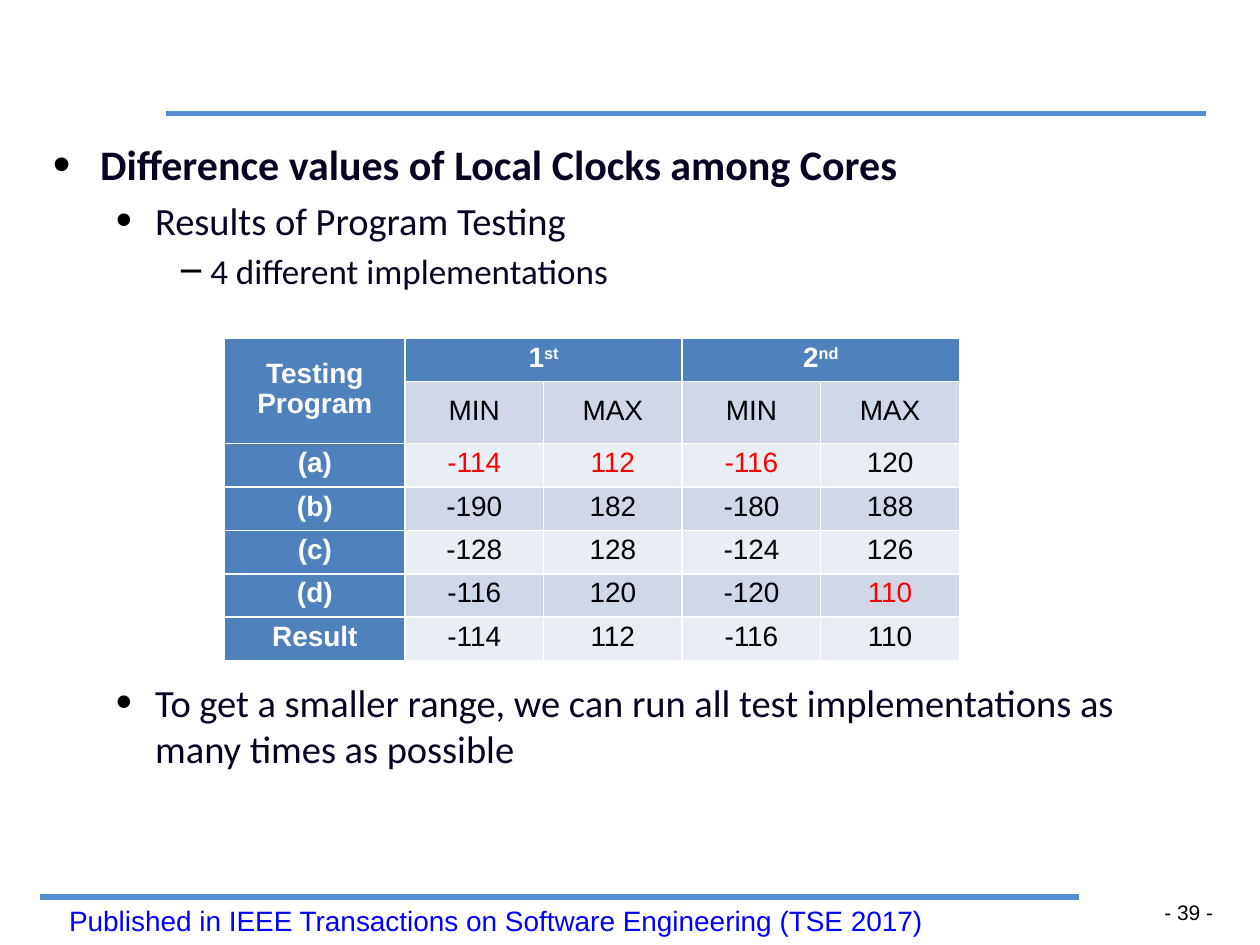
from lxml.etree import SubElement
from pptx import Presentation
from pptx.dml.color import RGBColor
from pptx.enum.shapes import MSO_CONNECTOR
from pptx.enum.text import MSO_ANCHOR, MSO_AUTO_SIZE, PP_ALIGN
from pptx.oxml.ns import qn
from pptx.util import Pt

BLACK = RGBColor(0, 0, 0)
WHITE = RGBColor(255, 255, 255)
RED = RGBColor(255, 0, 0)
LINK = RGBColor(0, 0, 255)
INK = RGBColor(0x05, 0x05, 0x23)
RULE = RGBColor(0x55, 0x8E, 0xD5)
HEAD = RGBColor(0x4F, 0x81, 0xBD)
DARK = RGBColor(0xD0, 0xD8, 0xE8)
PALE = RGBColor(0xE9, 0xED, 0xF4)


def style(font, name, size, color, bold=False):
    font.name = name
    font.size = Pt(size)
    font.color.rgb = color
    font.bold = bold


def bullet(par, char, left, hang):
    """Give the paragraph a black bullet at 120 % and a hanging indent."""
    props = par._p.get_or_add_pPr()
    props.set("marL", str(Pt(left)))
    props.set("indent", str(-Pt(hang)))
    SubElement(SubElement(props, qn("a:buClr")), qn("a:srgbClr")).set("val", str(BLACK))
    SubElement(props, qn("a:buSzPct")).set("val", "120000")
    SubElement(props, qn("a:buFont")).set("typeface", "Arial")
    SubElement(props, qn("a:buChar")).set("char", char)


prs = Presentation()
prs.slide_width, prs.slide_height = Pt(720), Pt(540)
slide = prs.slides.add_slide(prs.slide_layouts[1])
shapes = slide.shapes
title = shapes.title._element
title.getparent().remove(title)

# Rules above and below the content
for left, right, y in [(95, 689, 64.8), (23, 616.5, 512.6)]:
    rule = shapes.add_connector(MSO_CONNECTOR.STRAIGHT, Pt(left), Pt(y), Pt(right), Pt(y))
    rule.line.color.rgb = RULE
    rule.line.width = Pt(3)
    SubElement(rule._element.spPr, qn("a:effectLst"))

# Page number and footer
page = shapes.add_textbox(Pt(661.7), Pt(512.6), Pt(37.4), Pt(17.3)).text_frame
page.margin_left = page.margin_right = Pt(3.6)
page.margin_top = page.margin_bottom = Pt(1.44)
page.word_wrap = False
page.text = "- 39 -"
style(page.paragraphs[0].runs[0].font, "Arial", 12, BLACK)

foot = shapes.add_textbox(Pt(32.4), Pt(516.2), Pt(635), Pt(23)).text_frame
foot.word_wrap = True
foot.text = "Published in IEEE Transactions on Software Engineering (TSE 2017)"
foot.paragraphs[0].line_spacing = 0.8
style(foot.paragraphs[0].runs[0].font, "Arial", 16, LINK)

# Bullet list, with a gap for the table before the last item
body = slide.placeholders[1]
body.left, body.top, body.width, body.height = Pt(23), Pt(75.6), Pt(674), Pt(437)
frame = body.text_frame
frame.auto_size = MSO_AUTO_SIZE.NONE
levels = [("•", 27, 27, 24), ("•", 58.5, 22.5, 22), ("−", 90, 18, 20)]
items = [
    (0, 0, "Difference values of Local Clocks among Cores"),
    (1, 4.4, "Results of Program Testing"),
    (2, 4, "4 different implementations"),
    (1, 221, "To get a smaller range, we can run all test implementations "
             "as many times as possible"),
]
for i, (level, gap, text) in enumerate(items):
    par = frame.add_paragraph() if i else frame.paragraphs[0]
    par.text = text
    par.level = level
    par.space_before = Pt(gap)
    char, left, hang, size = levels[level]
    bullet(par, char, left, hang)
    style(par.runs[0].font, "Calibri", size, INK, level == 0)

# Results table
rows = [
    ["Testing\nProgram", "1st", "", "2nd", ""],
    ["", "MIN", "MAX", "MIN", "MAX"],
    ["(a)", "-114", "112", "-116", "120"],
    ["(b)", "-190", "182", "-180", "188"],
    ["(c)", "-128", "128", "-124", "126"],
    ["(d)", "-116", "120", "-120", "110"],
    ["Result", "-114", "112", "-116", "110"],
]
best = {(2, 1), (2, 2), (2, 3), (5, 4)}
table = shapes.add_table(7, 5, Pt(128.4), Pt(193.3), Pt(419.8), Pt(184.3)).table
table.first_col = True
for c, col in enumerate(table.columns):
    col.width = Pt(79.2 if c else 103)
for r, row in enumerate(table.rows):
    row.height = Pt(35.5 if r == 1 else 24.8)
for first, last in [((0, 0), (1, 0)), ((0, 1), (0, 2)), ((0, 3), (0, 4))]:
    table.cell(*first).merge(table.cell(*last))

for r, row in enumerate(rows):
    for c, text in enumerate(row):
        cell = table.cell(r, c)
        label = r == 0 or c == 0
        cell.fill.solid()
        cell.fill.fore_color.rgb = HEAD if label else DARK if r % 2 else PALE
        cell.vertical_anchor = MSO_ANCHOR.MIDDLE
        cell.margin_left = cell.margin_right = Pt(5)
        cell.margin_top = cell.margin_bottom = Pt(0)
        cell.text = text
        color = WHITE if label else RED if (r, c) in best else BLACK
        for i, par in enumerate(cell.text_frame.paragraphs):
            par.alignment = PP_ALIGN.CENTER
            par.line_spacing = 0.8
            par.space_before = Pt(3.2 if i else 0)
            if r == 0 and c:
                par.text = text[:1]
                if text:
                    mark = par.add_run()
                    mark.text = text[1:]
                    mark.font._element.set("baseline", "30000")
            style(par.font, "Arial", 16, color, label)
            for run in par.runs:
                style(run.font, "Arial", 16, color, label)

prs.save("out.pptx")
